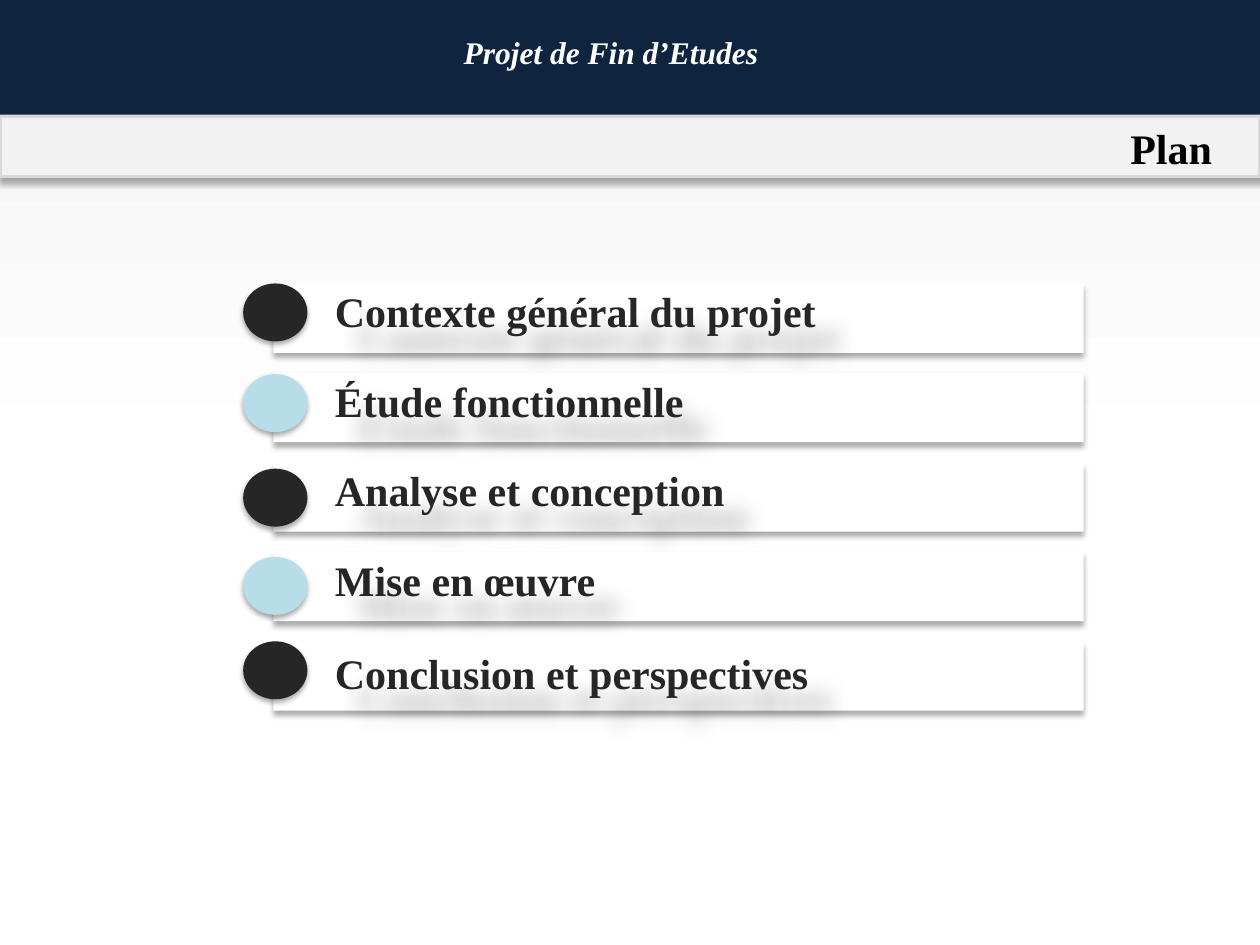
from lxml import etree
from pptx import Presentation
from pptx.dml.color import RGBColor
from pptx.enum.shapes import MSO_SHAPE
from pptx.enum.text import MSO_AUTO_SIZE, PP_ALIGN
from pptx.oxml.ns import qn
from pptx.util import Inches, Pt

RECT, OVAL = MSO_SHAPE.RECTANGLE, MSO_SHAPE.OVAL
LEFT, MID, RIGHT = PP_ALIGN.LEFT, PP_ALIGN.CENTER, PP_ALIGN.RIGHT
GROW = MSO_AUTO_SIZE.SHAPE_TO_FIT_TEXT

BLACK = RGBColor(0x00, 0x00, 0x00)
WHITE = RGBColor(0xFF, 0xFF, 0xFF)
NAVY = RGBColor(0x0F, 0x24, 0x3E)
INK = RGBColor(0x26, 0x26, 0x26)
AQUA = RGBColor(0xB7, 0xDE, 0xE8)
PALE = RGBColor(0xF2, 0xF2, 0xF2)
GREY = RGBColor(0xD9, 0xD9, 0xD9)

# Shadows: opacity %, blur pt, distance pt, angle
BAR_SHADE = (32, 3.5, 2.2, 90)
DOT_SHADE = (35, 3.1, 1.8, 90)
TEXT_SHADE = (30, 12, 19, 45)

# Topic, shift of its label and shift of its dot from the row top
TOPICS = [
    ("Contexte général du projet", -0.3, 0),
    ("Étude fonctionnelle", -0.3, 0.1),
    ("Analyse et conception", -0.3, 0.5),
    ("Mise en œuvre", -0.3, 0.4),
    ("Conclusion et perspectives", 0, 0),
]
TOP, STEP = 22.5, 7.1


class Deck:
    """Style and current slide, on a grid of 100 columns by 75 rows."""

    font = "Times New Roman"
    cell = Inches(0.1)

    def __init__(self):
        self.prs = Presentation()
        self.prs.slide_width = 100 * self.cell
        self.prs.slide_height = 75 * self.cell
        self.slide = self.prs.slides.add_slide(self.prs.slide_layouts[6])
        self.root = self.slide.shapes

    def place(self, box):
        return [round(n * self.cell) for n in box]

    def back(self, top, base):
        fill = self.slide.background.fill
        fill.gradient()
        fill.gradient_angle = 270
        for stop, color, pos in zip(fill.gradient_stops, (top, base), (0, 0.5)):
            stop.color.rgb = color
            stop.position = pos

    def group(self):
        return self.root.add_group_shape().shapes

    def shade(self, shape, look):
        alpha, blur, dist, angle = look
        shape.shadow.inherit = False
        effects = shape._element.spPr.find(qn("a:effectLst"))
        outer = etree.SubElement(
            effects, qn("a:outerShdw"), blurRad=str(Pt(blur)), dist=str(Pt(dist)),
            dir=str(angle * 60000), algn="t", rotWithShape="0")
        color = etree.SubElement(outer, qn("a:srgbClr"), val=str(BLACK))
        etree.SubElement(color, qn("a:alpha"), val=str(alpha * 1000))

    def shape(self, kind, box, fill, look=None, line=None, home=None):
        item = (home or self.root).add_shape(kind, *self.place(box))
        item.fill.solid()
        item.fill.fore_color.rgb = fill
        item.shadow.inherit = False
        if line:
            item.line.color.rgb = line
            item.line.width = Pt(2)
        else:
            item.line.fill.background()
        if look:
            self.shade(item, look)

    def text(self, words, box, color, size=24, align=LEFT, slant=False,
             look=None, home=None):
        item = (home or self.root).add_textbox(*self.place(box))
        frame = item.text_frame
        frame.word_wrap = True
        frame.auto_size = GROW
        frame.text = words
        para = frame.paragraphs[0]
        para.alignment = align
        font = para.runs[0].font
        font.name, font.size = self.font, Pt(size)
        font.bold, font.italic = True, slant
        font.color.rgb = color
        if look:
            self.shade(item, look)

    def topic(self, row, words, drop, dip):
        home = self.group()
        top = TOP + row * STEP
        self.shape(RECT, (21.7, top, 64.3, 5.5), WHITE, BAR_SHADE, home=home)
        self.text(words, (25.6, top + drop, 71.7, 5), INK,
                  look=TEXT_SHADE, home=home)
        self.shape(OVAL, (19.3, top + dip, 5.1, 4.6), AQUA if row % 2 else INK,
                   DOT_SHADE, home=home)


def main():
    deck = Deck()
    deck.back(PALE, WHITE)

    # Title strip
    deck.shape(RECT, (0, 9.2, 100, 4.8), PALE, BAR_SHADE, GREY)

    # Topics
    for row, topic in enumerate(TOPICS):
        deck.topic(row, *topic)

    # Title and header band
    deck.text("Plan ", (43.8, 9.2, 54.2, 5), BLACK, align=RIGHT)
    deck.shape(RECT, (0, -0.3, 100, 9.4), NAVY)
    deck.text("Projet de Fin d’Etudes", (34.3, 2.1, 28.4, 4), WHITE,
              size=18, align=MID, slant=True)

    deck.prs.save("out.pptx")


if __name__ == "__main__":
    main()
